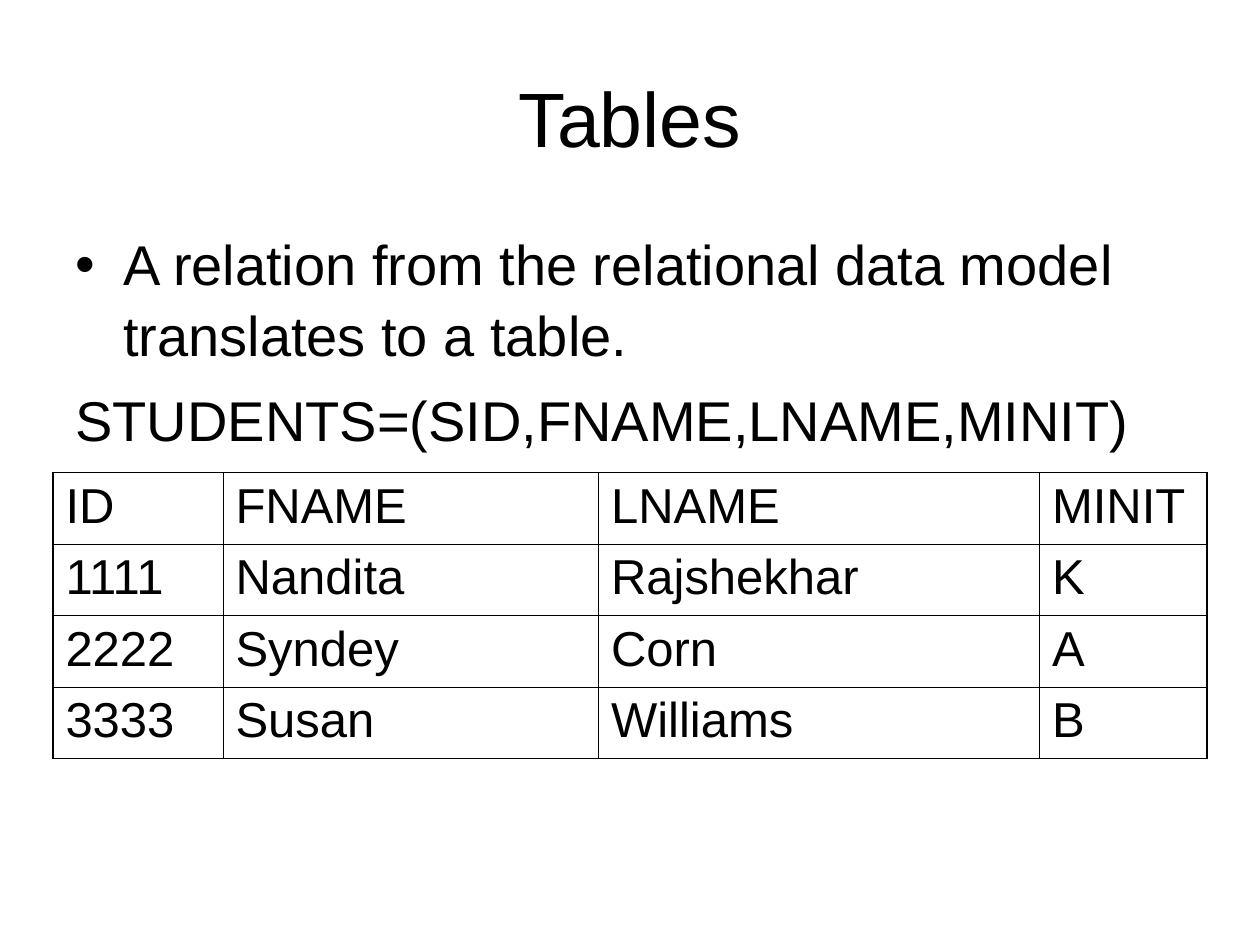
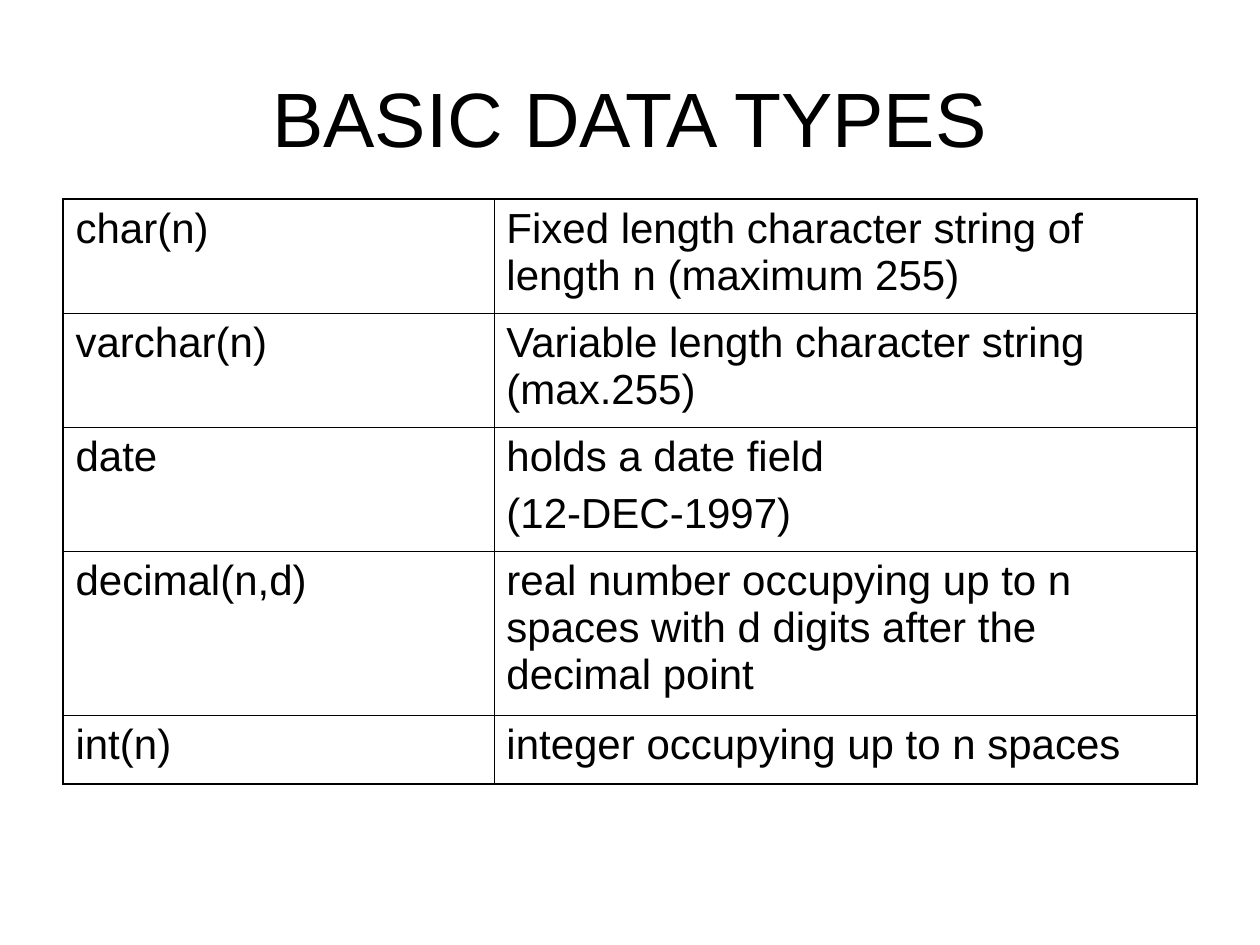
"""Two slides on relational tables and basic SQL data types."""
from lxml.etree import SubElement as Sub
from pptx import Presentation
from pptx.dml.color import RGBColor as RGB
from pptx.enum.text import MSO_ANCHOR as Anchor, MSO_AUTO_SIZE as Auto, PP_ALIGN as Align
from pptx.oxml.ns import qn
from pptx.util import Inches, Pt

COLORS = {"text": "000000", "line": "000000", "paper": "FFFFFF"}
FONT = "Arial"
OUTER, INNER = 1.08, 0.45

prs = Presentation()
prs.slide_width, prs.slide_height = Inches(10), Inches(7.5)
X, Y = prs.slide_width / 100, prs.slide_height / 100


def add_run(p, text, size):
    r = p.add_run()
    r.text = text
    r.font.name, r.font.size = FONT, Pt(size)
    r.font.color.rgb = RGB.from_string(COLORS["text"])


def add_grid(s, left, top, cols, rows, data, size, gap):
    frame = s.shapes.add_table(len(rows), len(cols), int(left * X), int(top * Y),
                               int(sum(cols) * X), int(sum(rows) * Y))
    table = frame.table
    table.first_row = table.horz_banding = False
    for col, width in zip(table.columns, cols):
        col.width = int(width * X)
    for row, height in zip(table.rows, rows):
        row.height = int(height * Y)
    for i, values in enumerate(data):
        for j, value in enumerate(values):
            cell = table.cell(i, j)
            edges = {"lnL": j == 0, "lnR": j == len(cols) - 1,
                     "lnT": i == 0, "lnB": i == len(rows) - 1}
            tc_pr = cell._tc.get_or_add_tcPr()
            for tag, is_outer in edges.items():
                ln = Sub(tc_pr, qn(f"a:{tag}"), w=str(Pt(OUTER if is_outer else INNER)))
                Sub(Sub(ln, qn("a:solidFill")), qn("a:srgbClr"), val=COLORS["line"])
            cell.fill.solid()
            cell.fill.fore_color.rgb = RGB.from_string(COLORS["paper"])
            for k, line in enumerate(value.split("\n")):
                tf = cell.text_frame
                p = tf.add_paragraph() if k else tf.paragraphs[0]
                if k:
                    p.space_before = Pt(gap)
                add_run(p, line, size)


slides = []
for title in ["Tables", "BASIC DATA TYPES"]:
    s = prs.slides.add_slide(prs.slide_layouts[5])
    sp = s.shapes.title
    sp.left, sp.top = int(5 * X), int(4 * Y)
    sp.width, sp.height = int(90 * X), int(16.67 * Y)
    tf = sp.text_frame
    tf.word_wrap, tf.auto_size = True, Auto.NONE
    tf.vertical_anchor = Anchor.MIDDLE
    p = tf.paragraphs[0]
    p.alignment = Align.CENTER
    add_run(p, title, 44)
    slides.append(s)
tables, types = slides

body = tables.shapes.add_textbox(int(5 * X), int(23.33 * Y), int(90 * X), int(66 * Y))
tf = body.text_frame
tf.word_wrap = True
lines = ["A relation from the relational data model translates to a table.",
         "STUDENTS=(SID,FNAME,LNAME,MINIT)"]
for i, line in enumerate(lines):
    p = tf.add_paragraph() if i else tf.paragraphs[0]
    p.line_spacing = 1.05
    p_pr = p._p.get_or_add_pPr()
    p_pr.set("marL", str(Inches(0.38)))
    p_pr.set("indent", str(-Inches(0.38)))
    if i:
        p.space_before = Pt(8)
        Sub(p_pr, qn("a:buNone"))
    else:
        Sub(p_pr, qn("a:buFont"), typeface=FONT)
        Sub(p_pr, qn("a:buChar"), char="•")
    add_run(p, line, 32)

students = [
    ["ID", "FNAME", "LNAME", "MINIT"],
    ["1111", "Nandita", "Rajshekhar", "K"],
    ["2222", "Syndey", "Corn", "A"],
    ["3333", "Susan", "Williams", "B"],
]
add_grid(tables, 4.2, 50, [13.5, 29.8, 35, 13.3], [7.57] * 4, students, 28, 7)

data_types = [
    ["char(n)", "Fixed length character string of length n (maximum 255)"],
    ["varchar(n)", "Variable length character string (max.255)"],
    ["date", "holds a date field\n(12-DEC-1997)"],
    ["decimal(n,d)", "real number occupying up to n spaces with d digits after the decimal point"],
    ["int(n)", "integer occupying up to n spaces"],
]
add_grid(types, 5, 21.07, [34.2, 55.8], [12.06, 12.06, 13.15, 17.33, 7.33],
         data_types, 24, 6)

prs.save("out.pptx")
